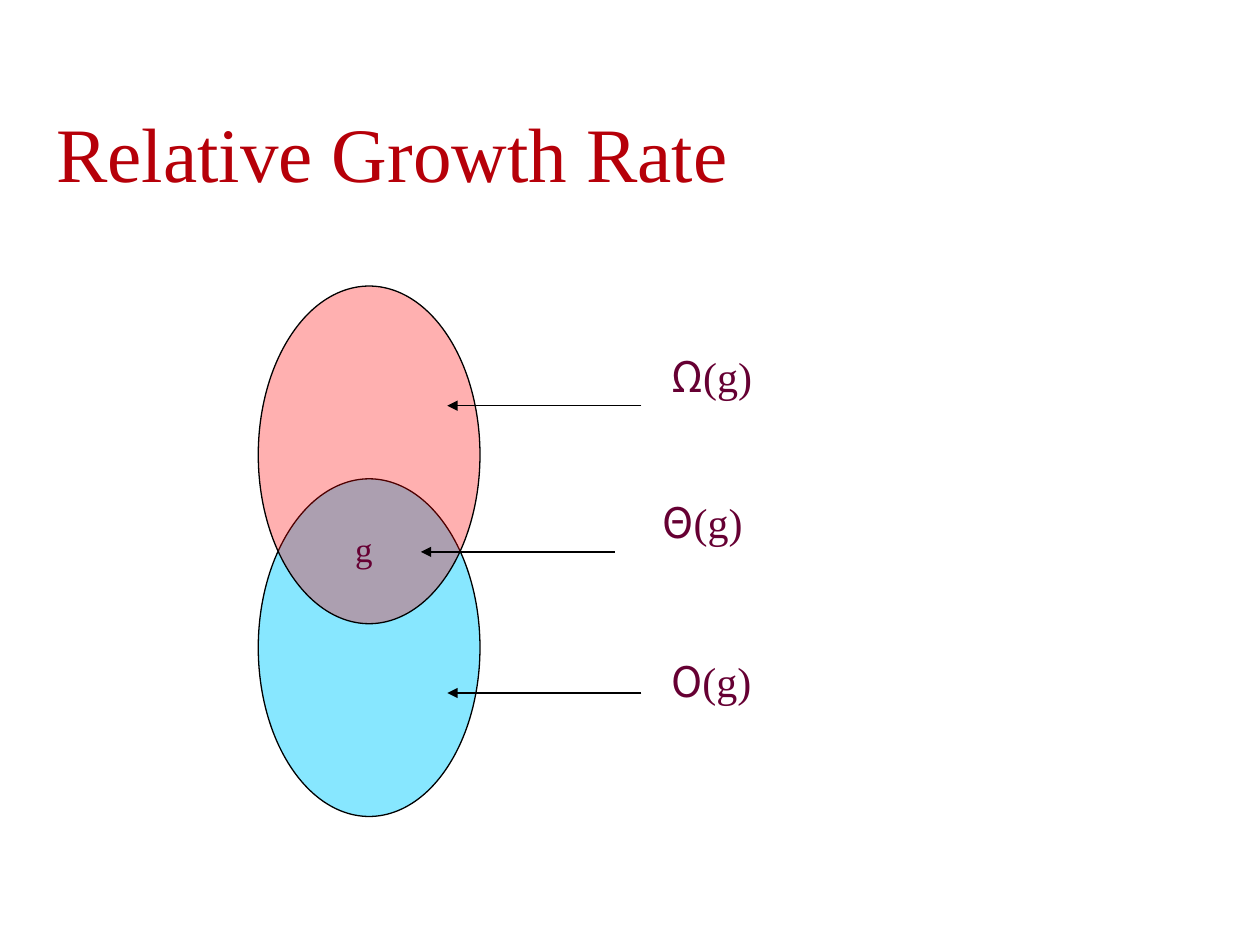
import pptx
import pptx.util
import pptx.dml.color
import pptx.enum.shapes
import pptx.enum.text
from lxml import etree
from pptx.oxml.ns import qn

Inches = pptx.util.Inches
ALIGN = pptx.enum.text.PP_ALIGN
ANCHOR = pptx.enum.text.MSO_ANCHOR


def colour(code):
    return pptx.dml.color.RGBColor.from_string(code)


class GrowthPage:
    ink = "660033"
    heading = "B60009"
    outline = "000000"
    serif = "Times New Roman"
    symbol = "Noto Sans CJK SC"

    def __init__(self, deck):
        self.page = deck.slides.add_slide(deck.slide_layouts[6])

    def stroke(self, line):
        line.color.rgb = colour(self.outline)
        line.width = pptx.util.Pt(0.75)

    def ellipse(self, left, top, width, height, fill, opacity):
        shape = self.page.shapes.add_shape(
            pptx.enum.shapes.MSO_SHAPE.OVAL,
            Inches(left), Inches(top), Inches(width), Inches(height))
        shape.shadow.inherit = False
        shape.fill.solid()
        shape.fill.fore_color.rgb = colour(fill)
        solid = shape._element.spPr.find(qn("a:solidFill"))
        etree.SubElement(solid[0], qn("a:alpha"), val=str(opacity * 1000))
        self.stroke(shape.line)

    def text(self, left, top, width, height, spans, size, code=ink,
             anchor=ANCHOR.TOP, align=ALIGN.JUSTIFY):
        box = self.page.shapes.add_textbox(
            Inches(left), Inches(top), Inches(width), Inches(height))
        frame = box.text_frame
        frame.word_wrap = True
        frame.vertical_anchor = anchor
        para = frame.paragraphs[0]
        para.alignment = align
        for words, face in spans:
            span = para.add_run()
            span.text = words
            span.font.color.rgb = colour(code)
            style = {"name": face, "size": pptx.util.Pt(size)}
            for name, value in style.items():
                setattr(span.font, name, value)

    def arrow(self, start, end, height):
        line = self.page.shapes.add_connector(
            pptx.enum.shapes.MSO_CONNECTOR.STRAIGHT,
            Inches(start), Inches(height), Inches(end), Inches(height))
        self.stroke(line.line)
        properties = line._element.spPr
        etree.SubElement(properties.find(qn("a:ln")), qn("a:tailEnd"), type="triangle")
        etree.SubElement(properties, qn("a:effectLst"))


def main():
    deck = pptx.Presentation()
    deck.slide_width, deck.slide_height = Inches(10), Inches(7.5)
    growth = GrowthPage(deck)

    # Lower set, title, then the overlapping upper set
    growth.ellipse(2.05, 3.8, 1.76, 2.68, "00CCFF", 47)
    growth.text(0.35, 0.79, 9.45, 0.83, [("Relative Growth Rate", growth.serif)],
                44, growth.heading, ANCHOR.BOTTOM, ALIGN.LEFT)
    growth.ellipse(2.05, 2.27, 1.76, 2.68, "FF0000", 31)
    growth.text(2.72, 4.14, 0.66, 0.96, [("g", growth.serif)], 20)

    # Labels with arrows pointing into each region
    labels = [("Ω", 5.23, 2.73, 5.09, 3.22),
              ("Θ", 5.16, 3.89, 4.88, 4.38),
              ("Ο", 5.23, 5.15, 5.09, 5.5)]
    for letter, left, top, start, height in labels:
        spans = [(letter, growth.symbol), ("(g)", growth.serif)]
        growth.text(left, top, 3.7, 1.05, spans, 24)
        growth.arrow(start, start - 1.54, height)

    deck.save("out.pptx")


if __name__ == "__main__":
    main()
